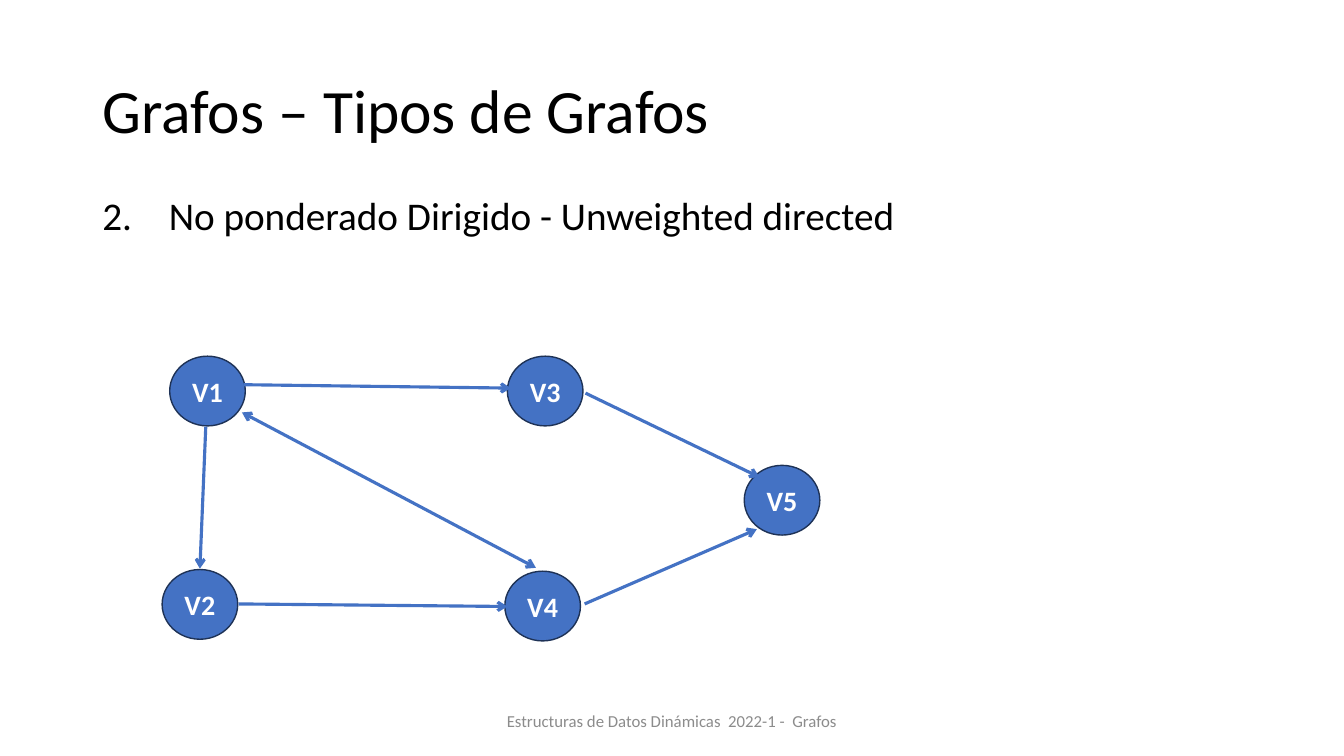
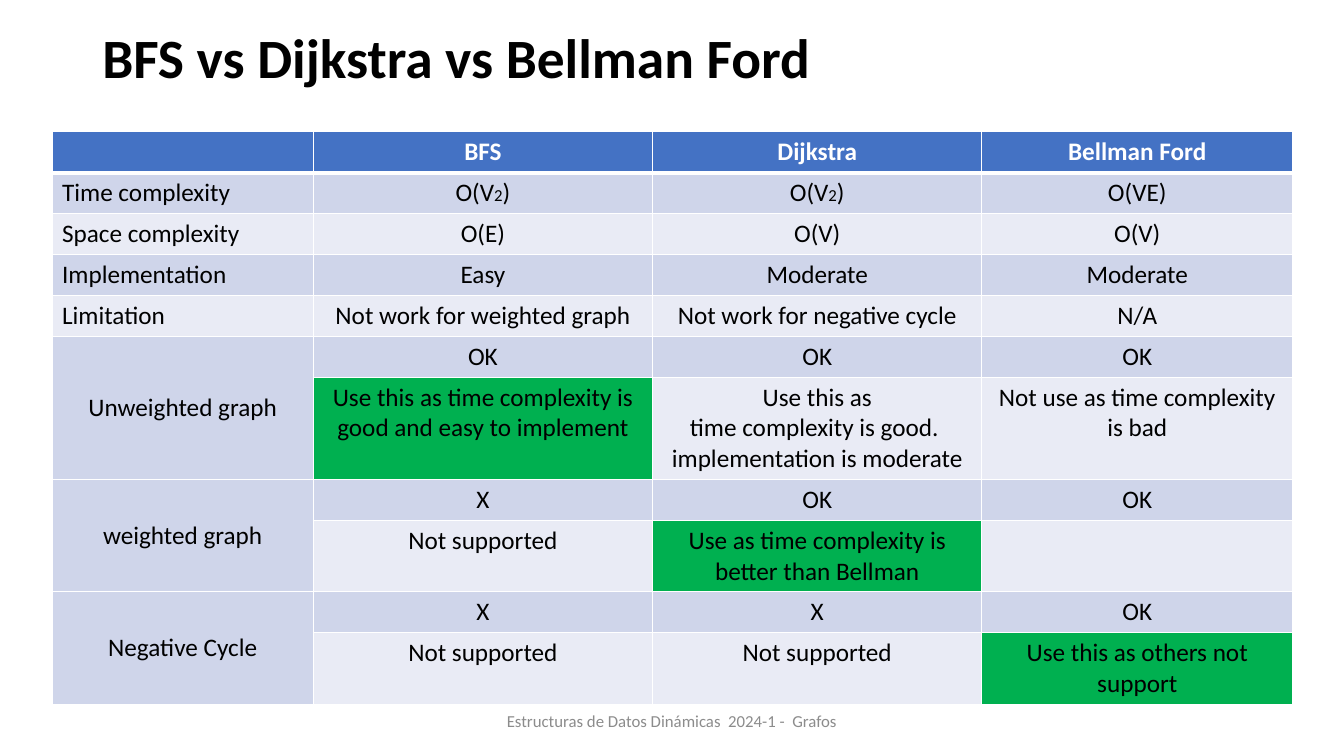
from lxml.etree import SubElement
from pptx import Presentation
from pptx.dml.color import RGBColor
from pptx.enum.shapes import MSO_CONNECTOR as Link, MSO_SHAPE as Form
from pptx.enum.text import MSO_ANCHOR as Anchor, PP_ALIGN as Align
from pptx.oxml.ns import qn
from pptx.util import Inches, Pt

COLS, ROWS = 160, 90
NB = chr(160)  # keeps words on one line

NODES = {
    "V1": (20.2, 42.4),
    "V5": (88.6, 55.4),
    "V2": (19.3, 67.8),
    "V4": (60.1, 68),
    "V3": (60.4, 42.4),
}
EDGES = [  # start, end, arrow at both ends
    ((29, 45.8), (60.8, 46.2), False),
    ((28.4, 71.9), (60.4, 72.2), False),
    ((28.8, 49.1), (63.8, 67.6), True),
    ((69.7, 46.8), (90.4, 56.8), False),
    ((69.6, 71.9), (90.1, 63), False),
    ((24.5, 50.8), (23.8, 67.7), False),
]

SQUARE = ("O(V", "2", ")")
CELLS = [
    ["", "BFS", "Dijkstra", "Bellman Ford"],
    ["Time complexity", SQUARE, SQUARE, "O(VE)"],
    ["Space complexity", "O(E)", "O(V)", "O(V)"],
    ["Implementation", "Easy", "Moderate", "Moderate"],
    ["Limitation", "Not work for weighted graph",
     "Not work for negative cycle", "N/A"],
    ["Unweighted graph", "OK", "OK", "OK"],
    ["", "Use this as time complexity is good and easy to implement",
     f"Use this as time{NB}complexity{NB}is{NB}good.{NB} implementation is moderate",
     "Not use as time complexity is bad"],
    ["weighted graph", "X", "OK", "OK"],
    ["", "Not supported", "Use as time complexity is better than Bellman", ""],
    ["Negative Cycle", "X", "X", "OK"],
    ["", "Not supported", "Not supported", "Use this as others not support"],
]
WIDTHS = [31.1, 40.4, 39.2, 37]
TALL = {6: 12.2, 8: 8.5, 10: 8.5}
PAIRS = (5, 7, 9)  # rows whose label spans the next row
BEST = {(6, 1), (8, 2), (10, 3)}


def color(code):
    return RGBColor.from_string(code)


class Deck:
    font = "Calibri"
    black, white, gray = "000000", "FFFFFF", "8C8C8C"
    blue, navy, green = "4472C4", "1E3256", "00B050"
    bands = ("E9EBF5", "CFD5EA")

    def __init__(self):
        self.file = Presentation()
        self.file.slide_width = Inches(40 / 3)
        self.file.slide_height = Inches(7.5)

    def x(self, cols):
        return round(self.file.slide_width * cols / COLS)

    def y(self, rows):
        return round(self.file.slide_height * rows / ROWS)

    def box(self, left, top, wide, high):
        return self.x(left), self.y(top), self.x(wide), self.y(high)

    def start(self, term):
        """Add a slide with the footer of the given term."""
        self.slide = self.file.slides.add_slide(self.file.slide_layouts[6])
        self.text(f"Estructuras de Datos Dinámicas  {term} -  Grafos",
                  (53, 83.4, 54, 4.8), 12, self.gray, align=Align.CENTER)

    def style(self, para, size, tint, bold=False, align=Align.LEFT):
        para.alignment = align
        font = para.font
        font.name, font.size, font.bold = self.font, Pt(size), bold
        font.color.rgb = color(tint)

    def text(self, words, place, size, tint, bold=False, align=Align.LEFT,
             anchor=Anchor.MIDDLE):
        frame = self.slide.shapes.add_textbox(*self.box(*place)).text_frame
        frame.word_wrap = True
        frame.vertical_anchor = anchor
        para = frame.paragraphs[0]
        para.text = words
        self.style(para, size, tint, bold, align)
        return para

    def title(self, words, place, size=44, bold=False):
        self.text(words, place, size, self.black, bold).line_spacing = 0.9

    def item(self, words, place, num):
        """Add a numbered paragraph."""
        para = self.text(words, place, 28, self.black, anchor=Anchor.TOP)
        para.line_spacing = 0.9
        para.space_before = Pt(10)
        props = para._p.get_or_add_pPr()
        indent = Inches(0.66)
        props.set("marL", str(indent))
        props.set("indent", str(-indent))
        mark = props.makeelement(
            qn("a:buAutoNum"), {"type": "arabicPeriod", "startAt": str(num)})
        props.find(qn("a:defRPr")).addprevious(mark)

    def node(self, name, left, top):
        disc = self.slide.shapes.add_shape(Form.OVAL, *self.box(left, top, 9, 8.3))
        disc.shadow.inherit = False
        disc.fill.solid()
        disc.fill.fore_color.rgb = color(self.blue)
        disc.line.color.rgb = color(self.navy)
        disc.line.width = Pt(1)
        frame = disc.text_frame
        frame.word_wrap = False
        frame.vertical_anchor = Anchor.MIDDLE
        para = frame.paragraphs[0]
        para.text = name
        self.style(para, 20, self.white, True, Align.CENTER)

    def edge(self, start, end, both):
        line = self.slide.shapes.add_connector(
            Link.STRAIGHT, self.x(start[0]), self.y(start[1]),
            self.x(end[0]), self.y(end[1]))
        line.line.color.rgb = color(self.blue)
        line.line.width = Pt(2.25)
        pen = line.line._get_or_add_ln()
        for tip in ("a:headEnd", "a:tailEnd") if both else ("a:tailEnd",):
            SubElement(pen, qn(tip), type="arrow")
        SubElement(line._element.spPr, qn("a:effectLst"))

    def border(self, cell, row):
        props = cell._tc.get_or_add_tcPr()
        thick = {0: "B", 1: "T"}.get(row)
        for side in "LRTB":
            width = Pt(3 if side == thick else 1)
            pen = SubElement(props, qn(f"a:ln{side}"), w=str(width))
            fill = SubElement(pen, qn("a:solidFill"))
            SubElement(fill, qn("a:srgbClr"), val=self.white)

    def cell(self, cell, words, row, col):
        head, label = row == 0, col == 0
        if head:
            fill = self.blue
        elif (row, col) in BEST:
            fill = self.green
        else:
            fill = self.bands[row % 2]
        self.border(cell, row)
        cell.fill.solid()
        cell.fill.fore_color.rgb = color(fill)
        para = cell.text_frame.paragraphs[0]
        for part in (words,) if isinstance(words, str) else words:
            if part:
                run = para.add_run()
                run.text = part
                if part == "2":
                    run.font.size = Pt(12)
        if label and row in PAIRS:
            cell.vertical_anchor = Anchor.MIDDLE
        left = label and row not in PAIRS
        self.style(para, 18, self.white if head else self.black, head,
                   Align.LEFT if left else Align.CENTER)

    def table(self, cells, left, top):
        highs = [TALL.get(row, 4.87) for row in range(len(cells))]
        grid = self.slide.shapes.add_table(
            len(cells), len(WIDTHS),
            *self.box(left, top, sum(WIDTHS), sum(highs))).table
        grid.first_row = grid.horz_banding = False
        for col, wide in zip(grid.columns, WIDTHS):
            col.width = self.x(wide)
        for row, high in zip(grid.rows, highs):
            row.height = self.y(high)
        for row, line in enumerate(cells):
            for col, words in enumerate(line):
                self.cell(grid.cell(row, col), words, row, col)
        for row in PAIRS:
            grid.cell(row, 0).merge(grid.cell(row + 1, 0))


def main():
    deck = Deck()

    deck.start("2022-1")
    deck.title("Grafos – Tipos de Grafos", (11, 4.8, 138, 17.4))
    deck.item("No ponderado Dirigido - Unweighted directed",
              (11, 22.8, 138, 8.3), 2)
    for name, spot in NODES.items():
        deck.node(name, *spot)
    for edge in EDGES:
        deck.edge(*edge)

    deck.start("2024-1")
    deck.title("BFS vs Dijkstra vs Bellman Ford", (11, 4.4, 133.7, 5.6), 39.6, True)
    deck.table(CELLS, 6.2, 15.7)

    deck.file.save("out.pptx")


if __name__ == "__main__":
    main()
